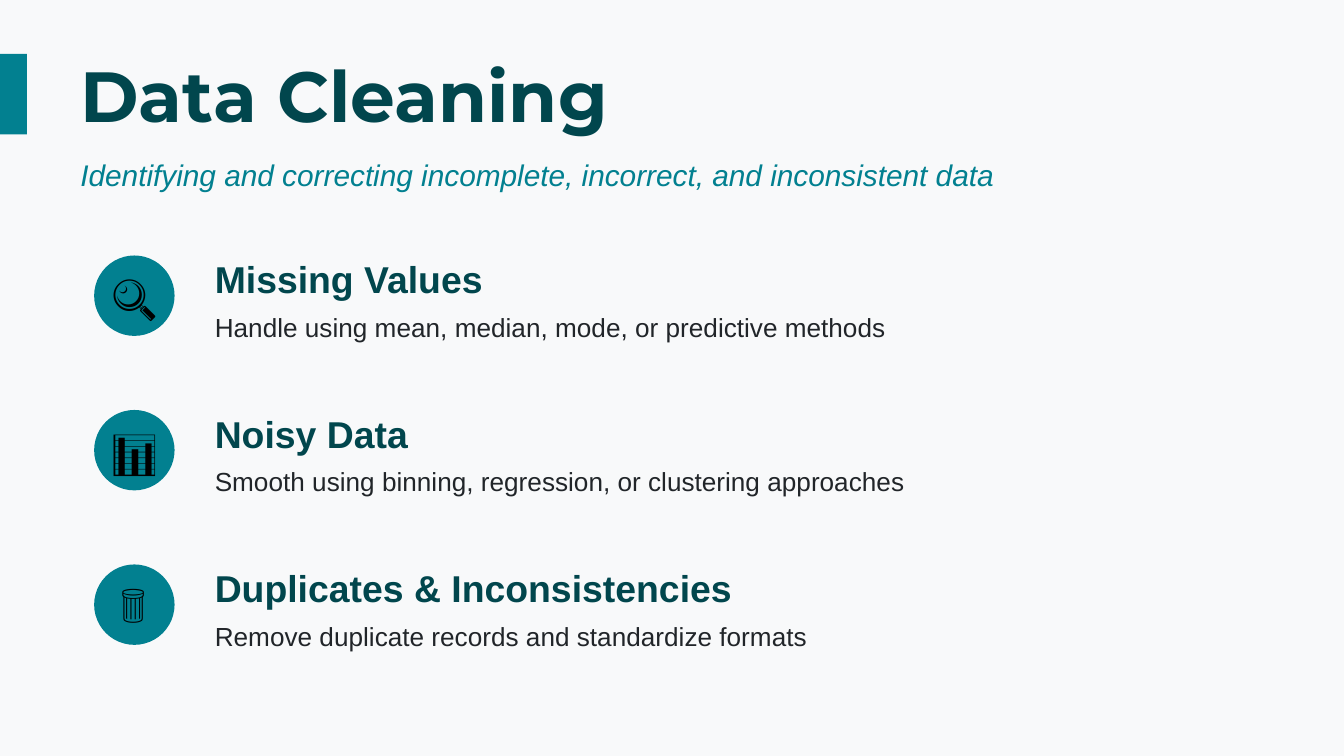
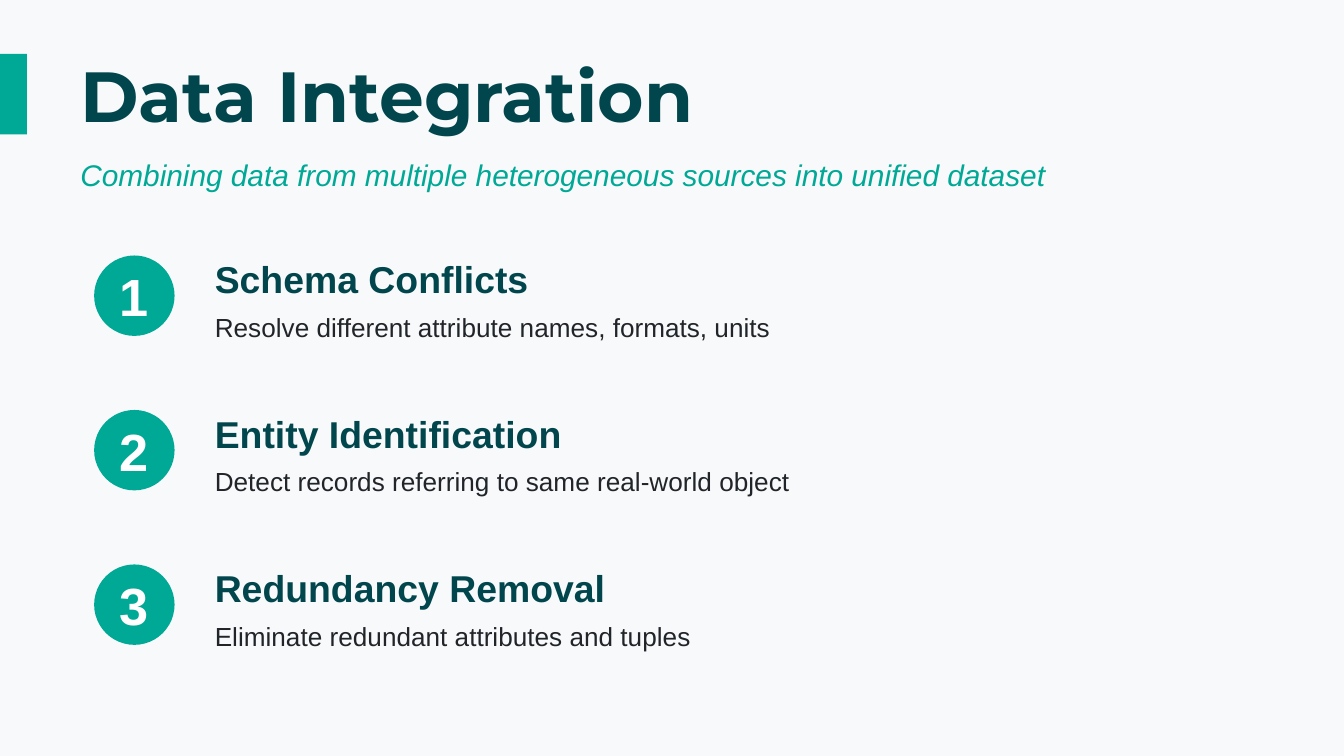
from dataclasses import dataclass

from pptx import Presentation
from pptx.dml.color import RGBColor
from pptx.enum.shapes import MSO_SHAPE as ShapeKind
from pptx.enum.text import MSO_ANCHOR as Anchor, PP_ALIGN as Align
from pptx.slide import Slide
from pptx.util import Cm, Pt

BACKGROUND = "F8F9FA"
DARK_TEAL = "01464D"
BODY_GREY = "212529"
BADGE_SIZE = 1.52
BADGE_LEFT = 1.78
ITEM_LEFT = 3.81
ITEM_WIDTH = 19.81
FIRST_ITEM_TOP = 4.83
ITEM_PITCH = 2.92


@dataclass(frozen=True)
class Box:
    """A rectangle on the slide, in centimetres."""

    left: float
    top: float
    width: float
    height: float

    def lengths(self) -> tuple[Cm, Cm, Cm, Cm]:
        """Return the position and size as lengths."""
        return Cm(self.left), Cm(self.top), Cm(self.width), Cm(self.height)


@dataclass(frozen=True)
class TextStyle:
    """The look of one line of text."""

    size: int
    color: str
    name: str = "Arial"
    bold: bool = False
    italic: bool = False
    align: Align = Align.LEFT


@dataclass(frozen=True)
class Item:
    """A badge with a heading and a description."""

    badge: str
    heading: str
    description: str


@dataclass(frozen=True)
class Topic:
    """The content of one slide."""

    title: str
    subtitle: str
    accent: str
    badge_style: TextStyle
    items: tuple[Item, ...]


TITLE = TextStyle(38, DARK_TEAL, name="Montserrat", bold=True)
HEADING = TextStyle(20, DARK_TEAL, bold=True)
DESCRIPTION = TextStyle(14, BODY_GREY)
ICON = TextStyle(24, "000000", name="Calibri", align=Align.CENTER)
NUMBER = TextStyle(28, "FFFFFF", bold=True, align=Align.CENTER)

TOPICS = (
    Topic(
        "Data Cleaning",
        "Identifying and correcting incomplete, incorrect, and inconsistent data",
        "028090",
        ICON,
        (
            Item("🔍", "Missing Values", "Handle using mean, median, mode, or predictive methods"),
            Item("📊", "Noisy Data", "Smooth using binning, regression, or clustering approaches"),
            Item("🗑️", "Duplicates & Inconsistencies", "Remove duplicate records and standardize formats"),
        ),
    ),
    Topic(
        "Data Integration",
        "Combining data from multiple heterogeneous sources into unified dataset",
        "00A896",
        NUMBER,
        (
            Item("1", "Schema Conflicts", "Resolve different attribute names, formats, units"),
            Item("2", "Entity Identification", "Detect records referring to same real-world object"),
            Item("3", "Redundancy Removal", "Eliminate redundant attributes and tuples"),
        ),
    ),
)


def rgb(color: str) -> RGBColor:
    """Turn a hex string into a colour."""
    return RGBColor.from_string(color)


def add_filled_shape(slide: Slide, kind: ShapeKind, box: Box, color: str) -> None:
    """Draw a plain shape without outline or shadow."""
    shape = slide.shapes.add_shape(kind, *box.lengths())
    shape.shadow.inherit = False
    shape.fill.solid()
    shape.fill.fore_color.rgb = rgb(color)
    shape.line.fill.background()


def add_text(slide: Slide, box: Box, text: str, style: TextStyle) -> None:
    """Write one vertically centred paragraph."""
    frame = slide.shapes.add_textbox(*box.lengths()).text_frame
    frame.word_wrap = True
    frame.vertical_anchor = Anchor.MIDDLE
    paragraph = frame.paragraphs[0]
    paragraph.text = text
    paragraph.alignment = style.align
    font = paragraph.font
    font.name = style.name
    font.size = Pt(style.size)
    font.bold = style.bold
    font.italic = style.italic
    font.color.rgb = rgb(style.color)


def add_header(slide: Slide, topic: Topic) -> None:
    """Draw the accent bar, title and subtitle."""
    add_filled_shape(slide, ShapeKind.RECTANGLE, Box(0, 1.02, 0.51, 1.52), topic.accent)
    add_text(slide, Box(1.27, 1.02, 22.86, 1.52), topic.title, TITLE)
    subtitle_style = TextStyle(16, topic.accent, italic=True)
    add_text(slide, Box(1.27, 2.79, 22.86, 1.02), topic.subtitle, subtitle_style)


def add_item(slide: Slide, item: Item, top: float, topic: Topic) -> None:
    """Draw one badge with its heading and description."""
    badge_box = Box(BADGE_LEFT, top, BADGE_SIZE, BADGE_SIZE)
    add_filled_shape(slide, ShapeKind.OVAL, badge_box, topic.accent)
    add_text(slide, badge_box, item.badge, topic.badge_style)
    add_text(slide, Box(ITEM_LEFT, top, ITEM_WIDTH, 0.89), item.heading, HEADING)
    add_text(slide, Box(ITEM_LEFT, top + 0.97, ITEM_WIDTH, 0.76), item.description, DESCRIPTION)


def main() -> None:
    """Build and save the presentation."""
    presentation = Presentation()
    presentation.slide_width = Cm(25.4)
    presentation.slide_height = Cm(14.29)
    blank_layout = presentation.slide_layouts[6]
    for topic in TOPICS:
        slide = presentation.slides.add_slide(blank_layout)
        slide.background.fill.solid()
        slide.background.fill.fore_color.rgb = rgb(BACKGROUND)
        add_header(slide, topic)
        for index, item in enumerate(topic.items):
            add_item(slide, item, FIRST_ITEM_TOP + index * ITEM_PITCH, topic)
    presentation.save("out.pptx")


if __name__ == "__main__":
    main()
